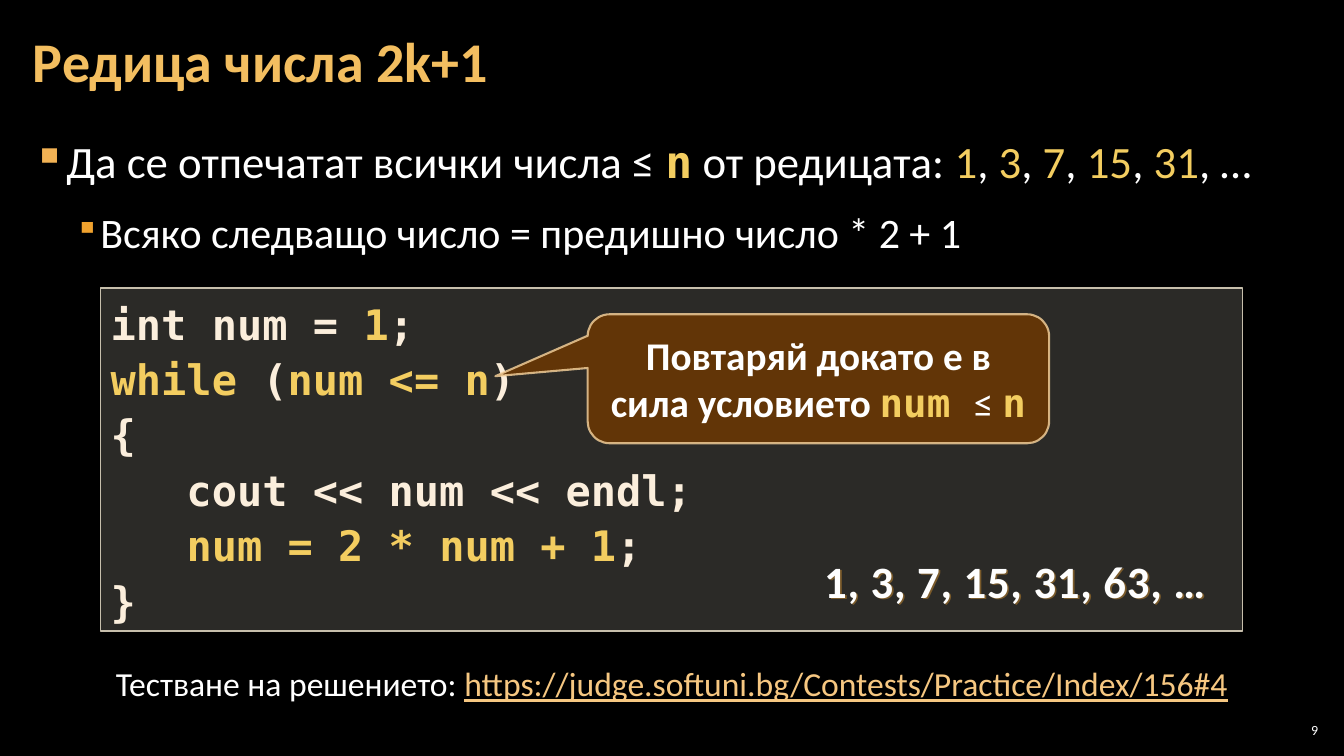
from pptx import Presentation
from pptx.dml.color import RGBColor
from pptx.enum.shapes import MSO_SHAPE
from pptx.enum.text import MSO_ANCHOR, MSO_AUTO_SIZE, PP_ALIGN
from pptx.oxml import parse_xml
from pptx.oxml.ns import nsdecls, qn
from pptx.util import Cm, Pt

BOX = MSO_SHAPE.RECTANGLE
CALL = MSO_SHAPE.ROUNDED_RECTANGULAR_CALLOUT
TOP, MID = MSO_ANCHOR.TOP, MSO_ANCHOR.MIDDLE
LEFT, MIDST, RIGHT = PP_ALIGN.LEFT, PP_ALIGN.CENTER, PP_ALIGN.RIGHT
GROW = MSO_AUTO_SIZE.SHAPE_TO_FIT_TEXT
SANS, MONO = "Calibri", "DejaVu Sans Mono"
BLACK = RGBColor(0x00, 0x00, 0x00)
WHITE = RGBColor(0xFF, 0xFF, 0xFF)
PEARL = RGBColor(0xFE, 0xFE, 0xFE)
CREAM = RGBColor(0xFB, 0xEE, 0xDC)
GOLD = RGBColor(0xF3, 0xCD, 0x60)
AMBER = RGBColor(0xF3, 0xBE, 0x60)
PEACH = RGBColor(0xF6, 0xC7, 0x81)
STONE = RGBColor(0xD9, 0xD5, 0xC7)
SAND = RGBColor(0xC7, 0xBF, 0xAC)
BROWN = RGBColor(0x66, 0x36, 0x06)
TAN = RGBColor(0xF8, 0xD4, 0x9E)


def write(shape, lines, frame, para, font):
    text = shape.text_frame
    for key, value in ({"word_wrap": True} | frame).items():
        setattr(text, key, value)
    for row, line in enumerate(lines):
        item = text.paragraphs[0] if row == 0 else text.add_paragraph()
        for key, value in para.items():
            setattr(item, key, value)
        for words, look in line:
            run = item.add_run()
            run.text = words
            style = font | look
            run.font.color.rgb = style.pop("color")
            for key, value in style.items():
                setattr(run.font, key, value)


def paint(shape, fill, line, width, alphas):
    shape.shadow.inherit = False
    shape.fill.solid()
    shape.fill.fore_color.rgb = fill
    shape.line.color.rgb = line
    shape.line.width = Pt(width)
    tones = shape._element.spPr.iter(qn("a:srgbClr"))
    for tone, alpha in zip(tones, alphas):
        tone.append(parse_xml(f'<a:alpha {nsdecls("a")} val="{alpha * 1000}"/>'))


deck = Presentation()
deck.slide_width, deck.slide_height = Cm(33.87), Cm(19.05)
slide = deck.slides.add_slide(deck.slide_layouts[6])
slide.background.fill.solid()
slide.background.fill.fore_color.rgb = BLACK
shapes = slide.shapes

gold = {"color": GOLD}
bold = {"bold": True}
tight = {"margin_top": Cm(0.1), "margin_bottom": Cm(0.1)}
wide = tight | {"margin_left": Cm(0.3), "margin_right": Cm(0.3)}
slim = tight | {"margin_left": Cm(0.1), "margin_right": Cm(0.1)}
plain = {"name": SANS, "color": WHITE}

page = shapes.add_textbox(Cm(32.13), Cm(18.14), Cm(1.19), Cm(0.53))
write(page, [[("9", {})]], slim | {"vertical_anchor": MID},
      {"alignment": RIGHT}, plain | {"size": Pt(10)})

body = shapes.add_textbox(Cm(0.53), Cm(3.2), Cm(32.79), Cm(15.47))
task = [("Да се отпечатат всички числа ≤ ", {}),
        ("n", gold | bold | {"name": MONO}), (" от редицата: ", {})]
for term in ("1", "3", "7", "15", "31"):
    task += [(term, gold), (", ", {})]
task[-1] = (", …", {})
rule = [("Всяко следващо число = предишно число * 2 + 1", {"size": Pt(30)})]
write(body, [task, rule], wide, {"line_spacing": 1.05, "space_after": Pt(6)},
      plain | {"size": Pt(32)})
body.text_frame.paragraphs[1].space_before = Pt(6)
marks = [(0, 0.84, 0.84, "F2B254", 100), (1, 1.7, 0.64, "F0A22E", 80)]
for item, (level, left, hang, tone, size) in zip(body.text_frame.paragraphs, marks):
    item.level = level
    props = item._p.get_or_add_pPr()
    props.set("marL", str(Cm(left)))
    props.set("indent", str(-Cm(hang)))
    for part in (f'<a:buClr {nsdecls("a")}><a:srgbClr val="{tone}"/></a:buClr>',
                 f'<a:buSzPct {nsdecls("a")} val="{size * 1000}"/>',
                 f'<a:buChar {nsdecls("a")} char="▪"/>'):
        props.append(parse_xml(part))

title = shapes.add_textbox(Cm(0.53), Cm(0.1), Cm(26.59), Cm(3.07))
write(title, [[("Редица числа 2k+1", {})]], wide | {"vertical_anchor": MID},
      {"line_spacing": 0.9}, bold | {"name": SANS, "size": Pt(40), "color": AMBER})

code = shapes.add_shape(BOX, Cm(2.54), Cm(7.26), Cm(28.78), Cm(8.64))
paint(code, STONE, SAND, 1, [20])
source = [
    [("int num = ", {}), ("1", gold), (";", {})],
    [("while ", gold), ("(", {}), ("num <= n", gold), (")", {})],
    [("{", {})],
    [("   cout << num << endl;", {})],
    [("   ", {}), ("num = 2 * num + 1", gold), (";", {})],
    [("}", {})],
]
write(code, source, {"vertical_anchor": TOP, "auto_size": GROW},
      {"alignment": LEFT, "line_spacing": 1.1},
      bold | {"name": MONO, "size": Pt(30), "color": CREAM})

test = shapes.add_textbox(Cm(2.11), Cm(16.59), Cm(29.64), Cm(1.27))
write(test, [[("Тестване на решението: ", {}),
              ("https://judge.softuni.bg/Contests/Practice/Index/156#4",
               {"color": PEACH, "underline": True})]],
      {"auto_size": GROW}, {"alignment": MIDST}, plain | {"size": Pt(24)})

hint = shapes.add_shape(CALL, Cm(14.81), Cm(7.92), Cm(11.63), Cm(3.25))
for spot, value in enumerate((-0.7, -0.02, 0.17)):
    hint.adjustments[spot] = value
paint(hint, BROWN, TAN, 1.5, [95, 80])
mono = gold | {"name": MONO}
write(hint, [[("Повтаряй докато е в сила условието ", {}), ("num ", mono),
              ("≤ ", {"bold": False}), ("n", mono)]],
      {"vertical_anchor": MID}, {"alignment": MIDST},
      plain | bold | {"size": Pt(28)})

terms = shapes.add_textbox(Cm(20.52), Cm(13.82), Cm(10.24), Cm(1.63))
write(terms, [[("1, 3, 7, 15, 31, 63, …", {})]],
      {"word_wrap": False, "auto_size": GROW}, {},
      bold | {"name": SANS, "size": Pt(32), "color": PEARL})
props = terms.text_frame.paragraphs[0].runs[0]._r.get_or_add_rPr()
props.set("spc", "50")
props.insert(0, parse_xml(
    f'<a:ln {nsdecls("a")} w="{Pt(0.75)}"><a:solidFill>'
    '<a:srgbClr val="F0A22E"/></a:solidFill></a:ln>'))
terms._element.spPr.append(parse_xml(
    f'<a:effectLst {nsdecls("a")}><a:outerShdw dist="{Cm(0.06)}" dir="2700000">'
    '<a:srgbClr val="7A5A2A"/></a:outerShdw></a:effectLst>'))

deck.save("out.pptx")
